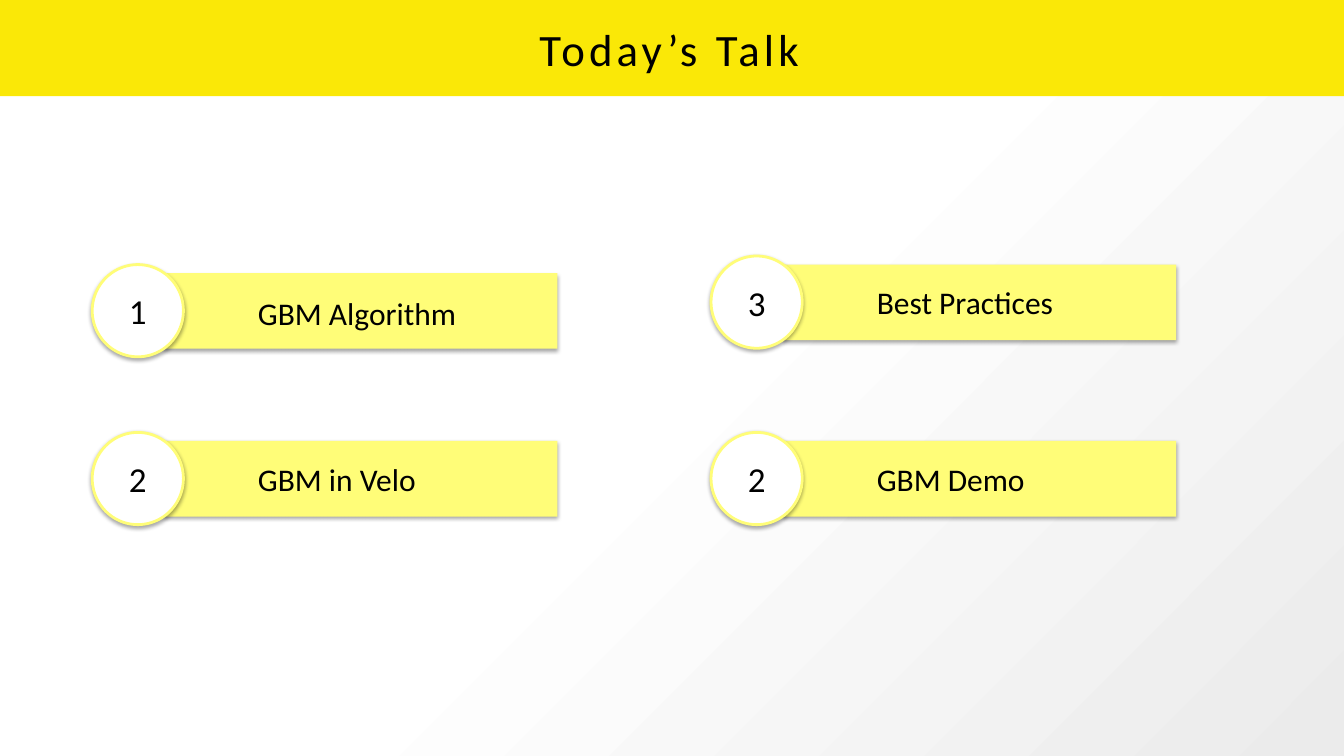
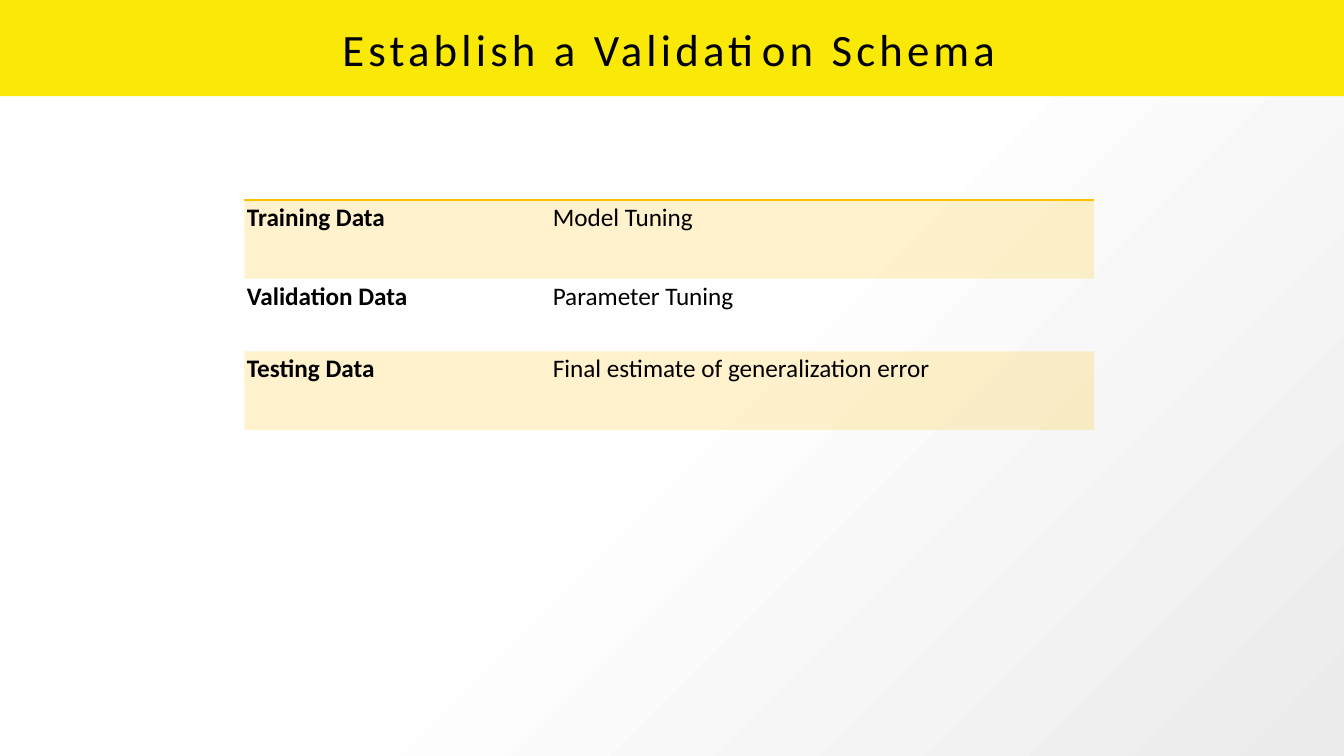
import pptx
import pptx.util
import pptx.dml.color
import pptx.enum.shapes
import pptx.enum.text
import pptx.oxml
import pptx.oxml.ns

Inches = pptx.util.Inches
Pt = pptx.util.Pt
RGBColor = pptx.dml.color.RGBColor
Shape = pptx.enum.shapes.MSO_SHAPE
Anchor = pptx.enum.text.MSO_ANCHOR
Align = pptx.enum.text.PP_ALIGN
Fit = pptx.enum.text.MSO_AUTO_SIZE
qn = pptx.oxml.ns.qn

BLACK = RGBColor(0x00, 0x00, 0x00)
WHITE = RGBColor(0xFF, 0xFF, 0xFF)
GREY = RGBColor(0xEB, 0xEB, 0xEB)
BAND = RGBColor(0xFA, 0xE8, 0x07)
LEMON = RGBColor(0xFF, 0xFD, 0x78)
AMBER = RGBColor(0xFF, 0xC0, 0x00)
FONT = "Calibri"
NS = pptx.oxml.ns.nsdecls("a")
PLAIN = "{2D5ABB26-0587-4C30-8999-92F81FD0307C}"

TOPICS = [
    (1.83, 5.25, "1", "GBM Algorithm", 4.09, 0.52),
    (1.83, 8.58, "2", "GBM in Velo", 3.28, 0.48),
    (14.11, 5.08, "3", "Best Practices", 3.67, 0.48),
    (14.11, 8.58, "2", "GBM Demo", 3.07, 0.48),
]
SCHEMA = [
    ("Training Data", "Model Tuning"),
    ("Validation Data", "Parameter Tuning"),
    ("Testing Data", "Final estimate of generalization error"),
]


def place(item, x, y, w, h):
    item.left, item.top = Inches(x), Inches(y)
    item.width, item.height = Inches(w), Inches(h)


def inset(item, gap):
    item.margin_left = item.margin_right = Inches(gap)
    item.margin_top = item.margin_bottom = Inches(gap)


def write(frame, text, size, bold=False):
    run = frame.paragraphs[0].add_run()
    run.text = text
    font = run.font
    font.name, font.size, font.bold = FONT, Pt(size), bold
    font.color.rgb = BLACK
    return run


def block(slide, kind, x, y, w, h, fill):
    shape = slide.shapes.add_shape(kind, Inches(x), Inches(y), Inches(w), Inches(h))
    shape.shadow.inherit = False
    shape.fill.solid()
    shape.fill.fore_color.rgb = fill
    shape.line.fill.background()
    return shape


def shade(shape):
    effects = shape.element.spPr.find(qn("a:effectLst"))
    effects.append(pptx.oxml.parse_xml(
        f'<a:outerShdw {NS} blurRad="{Pt(6)}" dist="{Pt(3)}" dir="5400000" '
        f'rotWithShape="0"><a:srgbClr val="{BLACK}"><a:alpha val="35000"/>'
        '</a:srgbClr></a:outerShdw>'))


def label(slide, x, y, w, h, text, size):
    box = slide.shapes.add_textbox(Inches(x), Inches(y), Inches(w), Inches(h))
    frame = box.text_frame
    frame.word_wrap = False
    frame.auto_size = Fit.SHAPE_TO_FIT_TEXT
    frame.vertical_anchor = Anchor.MIDDLE
    inset(frame, 0.06)
    write(frame, text, size)


def theme(deck):
    fill = deck.slide_master.background.fill
    fill.gradient()
    fill.gradient_angle = 315
    for stop, spot, tone in zip(fill.gradient_stops, (0.5, 1), (WHITE, GREY)):
        stop.position = spot
        stop.color.rgb = tone
    layout = deck.slide_layouts[5]
    place(layout.placeholders[0], 0.6, -0.01, 25.36, 1.93)
    return layout


def start(deck, layout, text):
    slide = deck.slides.add_slide(layout)
    frame = slide.shapes.title.text_frame
    frame.word_wrap = True
    frame.auto_size = Fit.NONE
    frame.vertical_anchor = Anchor.MIDDLE
    inset(frame, 0.1)
    frame.paragraphs[0].alignment = Align.CENTER
    run = write(frame, text, 64)
    run.font._element.set("spc", "600")
    return slide


def band(slide, layout):
    bar = block(slide, Shape.RECTANGLE, -0.01, 0, 26.69, 1.91, BAND)
    layout.shapes.element.insert(2, bar.element)


def topic(slide, x, y, mark, text, width, drop):
    shade(block(slide, Shape.RECTANGLE, x + 1.42, y + 0.17, 7.81, 1.5, LEMON))
    disc = block(slide, Shape.OVAL, x, y, 1.81, 1.83, WHITE)
    disc.line.color.rgb = LEMON
    disc.line.width = Pt(4)
    shade(disc)
    label(slide, x + 0.67, y + 0.44, 0.47, 0.95, mark, 50)
    label(slide, x + 3.23, y + drop, width, 0.87, text, 45)


def tint(cell):
    cell.fill.solid()
    cell.fill.fore_color.rgb = AMBER
    color = cell._tc.tcPr.find(qn("a:solidFill"))[0]
    color.append(pptx.oxml.parse_xml(f'<a:alpha {NS} val="20000"/>'))


def rule(cell):
    cell._tc.tcPr.insert(0, pptx.oxml.parse_xml(
        f'<a:lnT {NS} w="{Pt(2)}"><a:solidFill><a:srgbClr val="{AMBER}"/>'
        '</a:solidFill></a:lnT>'))


def schema(slide, x, y, widths, heights):
    frame = slide.shapes.add_table(
        len(heights), len(widths), Inches(x), Inches(y),
        Inches(sum(widths)), Inches(sum(heights)))
    table = frame.table
    table.first_row = table.horz_banding = False
    next(frame.element.iter(qn("a:tableStyleId"))).text = PLAIN
    for col, width in zip(table.columns, widths):
        col.width = Inches(width)
    for r, height in enumerate(heights):
        table.rows[r].height = Inches(height)
        for c, text in enumerate(SCHEMA[r]):
            cell = table.cell(r, c)
            inset(cell, 0.05)
            write(cell.text_frame, text, 36, c == 0)
            if r % 2:
                cell.fill.background()
            else:
                tint(cell)
            if r == 0:
                rule(cell)


def main():
    deck = pptx.Presentation()
    deck.slide_width, deck.slide_height = Inches(26.67), Inches(15)
    layout = theme(deck)
    talk = start(deck, layout, "Today’s Talk")
    band(talk, layout)
    for item in TOPICS:
        topic(talk, *item)
    plan = start(deck, layout, "Establish a Validation Schema")
    schema(plan, 4.85, 3.97, (6.07, 10.79), (1.56, 1.44, 1.56))
    deck.save("out.pptx")


if __name__ == "__main__":
    main()
